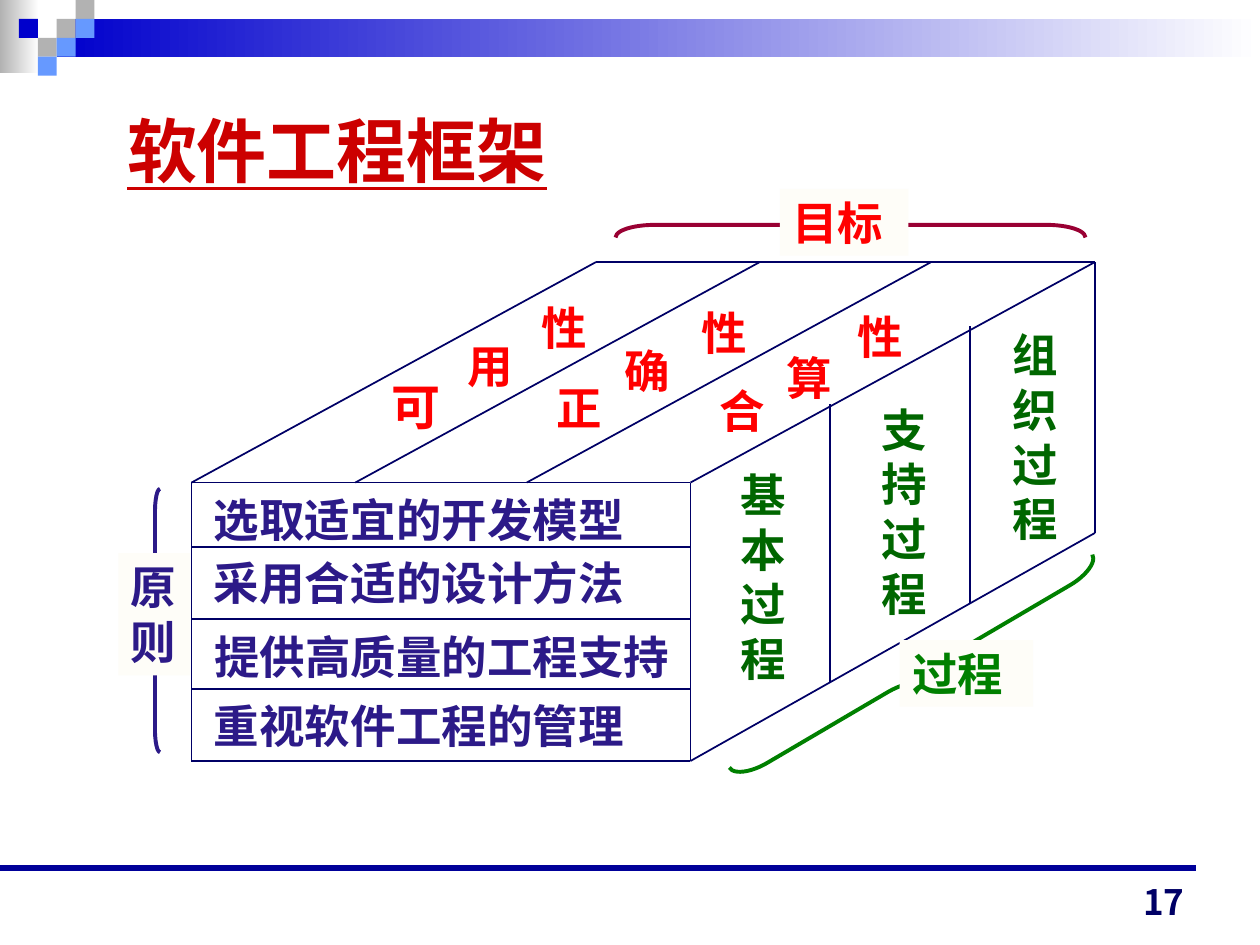
from lxml import etree
from pptx import Presentation
from pptx.dml.color import RGBColor
from pptx.enum.shapes import MSO_CONNECTOR as CONN, MSO_SHAPE as SHAPE
from pptx.enum.text import MSO_ANCHOR as ANCHOR, MSO_AUTO_SIZE as AUTO, PP_ALIGN as ALIGN
from pptx.oxml.ns import qn
from pptx.util import Inches, Pt

RED, GREEN, DARK_GREEN, PURPLE = "FF0000", "008000", "006600", "2C1A88"
NAVY, BLUE, LIGHT_BLUE, GRAY = "000066", "0000CC", "6699FF", "B2B2B2"
CREAM = "FEFDF8"


def rgb(color):
    return RGBColor.from_string(color)


def write(shape, text, *, size=26, color=NAVY, font="Noto Sans CJK SC", underline=None,
          align=ALIGN.LEFT, anchor=ANCHOR.TOP, wrap=True, grow=True):
    """Fill a shape with bold text, one paragraph for each line."""
    tf = shape.text_frame
    tf.word_wrap = wrap
    tf.auto_size = AUTO.SHAPE_TO_FIT_TEXT if grow else AUTO.NONE
    tf.vertical_anchor = anchor
    for i, line in enumerate(text.split("\n")):
        p = tf.add_paragraph() if i else tf.paragraphs[0]
        p.alignment = align
        r = p.add_run()
        r.text = line
        r.font.size, r.font.bold, r.font.underline = Pt(size), True, underline
        r.font.name = font
        r.font.color.rgb = rgb(color)
        ea = etree.SubElement(r.font._element, qn("a:ea"))
        ea.set("typeface", "Noto Sans CJK SC")


class Deck:
    """Holds the line style and the current slide."""
    edge_color, edge_width, brace_width = NAVY, 1, 2.25

    def __init__(self, slide):
        self.s = slide

    def shape(self, kind, x, y, w, h):
        sp = self.s.shapes.add_shape(kind, Inches(x), Inches(y), Inches(w), Inches(h))
        sp.shadow.inherit = False
        return sp

    def box(self, x, y, w, h, fill):
        sp = self.shape(SHAPE.RECTANGLE, x, y, w, h)
        sp.fill.solid()
        sp.fill.fore_color.rgb = rgb(fill)
        sp.line.fill.background()
        return sp

    def fade(self, x, y, w, h, color):
        """Rectangle that fades from a colour at the left to white."""
        sp = self.box(x, y, w, h, color)
        sp.fill.gradient()
        sp.fill.gradient_angle = 0
        for stop, c in zip(sp.fill.gradient_stops, (color, "FFFFFF")):
            stop.color.rgb = rgb(c)

    def brace(self, x, y, w, h, color, curve, rotation=0):
        sp = self.shape(SHAPE.LEFT_BRACE, x, y, w, h)
        sp.adjustments[0] = curve
        sp.rotation = rotation
        sp.fill.background()
        sp.line.color.rgb = rgb(color)
        sp.line.width = Pt(self.brace_width)

    def line(self, x1, y1, x2, y2, color=None, width=None):
        c = self.s.shapes.add_connector(
            CONN.STRAIGHT, Inches(x1), Inches(y1), Inches(x2), Inches(y2))
        c.line.color.rgb = rgb(color or self.edge_color)
        c.line.width = Pt(width or self.edge_width)
        etree.SubElement(c._element.spPr, qn("a:effectLst"))

    def text(self, x, y, w, h, text, **fmt):
        tb = self.s.shapes.add_textbox(Inches(x), Inches(y), Inches(w), Inches(h))
        write(tb, text, **fmt)

    def label(self, x, y, w, h, text, color):
        write(self.box(x, y, w, h, CREAM), text, color=color)


def draw_banner(deck):
    deck.fade(0, 0, 0.31, 0.58, GRAY)
    deck.fade(0.45, 0.15, 9.55, 0.3, BLUE)
    step = 0.15
    tiles = [(3, 1, GRAY), (4, 0, GRAY), (4, 1, LIGHT_BLUE), (2, 2, GRAY),
             (1, 1, BLUE), (3, 2, LIGHT_BLUE), (2, 3, LIGHT_BLUE)]
    for col, row, color in tiles:
        deck.box(col * step, row * step, step, step, color)
    deck.line(0, 6.89, 9.49, 6.89, "000099", 3)


def draw_cube(deck):
    left, right, top, bottom = 1.52, 5.48, 3.83, 6.04
    depth, back_top, back_bottom = 3.21, 2.08, 4.23
    back = right + depth
    for y in (top, 4.34, 4.91, 5.47, bottom):
        deck.line(left, y, right, y)
    for x in (left, 2.82, 4.18, right):
        deck.line(x + depth, back_top, x, top)
    deck.line(left + depth, back_top, back, back_top)
    deck.line(back, back_bottom, right, bottom)
    sides = [(left, top, bottom), (right, top, bottom), (6.59, 3.21, 5.42),
             (7.7, 2.59, 4.79), (back, back_top, back_bottom)]
    for x, y1, y2 in sides:
        deck.line(x, y2, x, y1)


def draw_words(deck):
    goals = [("可用性", [(3.01, 2.94), (3.61, 2.63), (4.2, 2.33)]),
             ("正确性", [(4.32, 2.97), (4.86, 2.67), (5.47, 2.37)]),
             ("合算性", [(5.61, 2.99), (6.14, 2.73), (6.71, 2.4)])]
    for word, places in goals:
        for char, (x, y) in zip(word, places):
            width, size = (0.59, 28) if char == "可" else (0.57, 26)
            deck.text(x, y, width, 0.53, char, size=size, color=RED, wrap=False)

    principles = [(3.86, "选取适宜的开发模型"), (4.36, "采用合适的设计方法"),
                  (4.94, "提供高质量的工程支持"), (5.49, "重视软件工程的管理")]
    for y, principle in principles:
        width = 0.22 + 0.36 * len(principle)
        deck.text(1.6, y, width, 0.53, principle, color=PURPLE, wrap=False)

    deck.text(5.78, 3.66, 0.57, 1.83, "基本过程", color=DARK_GREEN)
    for x, y, process in [(6.9, 3.14, "支持过程"), (7.94, 2.55, "组织过程")]:
        deck.text(x, y, 0.56, 1.84, "\n".join(process), color=DARK_GREEN, wrap=False)


def main():
    prs = Presentation()
    prs.slide_width, prs.slide_height = Inches(10), Inches(7.5)
    deck = Deck(prs.slides.add_slide(prs.slide_layouts[6]))

    draw_banner(deck)
    deck.text(0.91, 0.87, 3.81, 0.64, "软件工程框架", size=40, color="CC0000",
              font="Times New Roman", underline=True, anchor=ANCHOR.MIDDLE, grow=False)
    deck.brace(6.65, -0.08, 0.2, 3.73, "990033", 1.55, 90)
    deck.brace(7.17, 3.68, 0.24, 3.34, GREEN, 1.16, 239.6)
    draw_cube(deck)
    draw_words(deck)
    deck.label(6.19, 1.5, 1.02, 0.53, "目标", RED)
    deck.label(7.14, 5.08, 1.06, 0.53, "过程", GREEN)
    deck.brace(1.19, 3.88, 0.08, 2.09, PURPLE, 2.2)
    deck.label(0.94, 4.39, 0.57, 0.97, "原则", PURPLE)
    deck.text(7.17, 6.92, 2.33, 0.45, "17", size=20, font="Noto Sans CJK JP",
              align=ALIGN.RIGHT, anchor=ANCHOR.BOTTOM, grow=False)
    prs.save("out.pptx")


if __name__ == "__main__":
    main()
